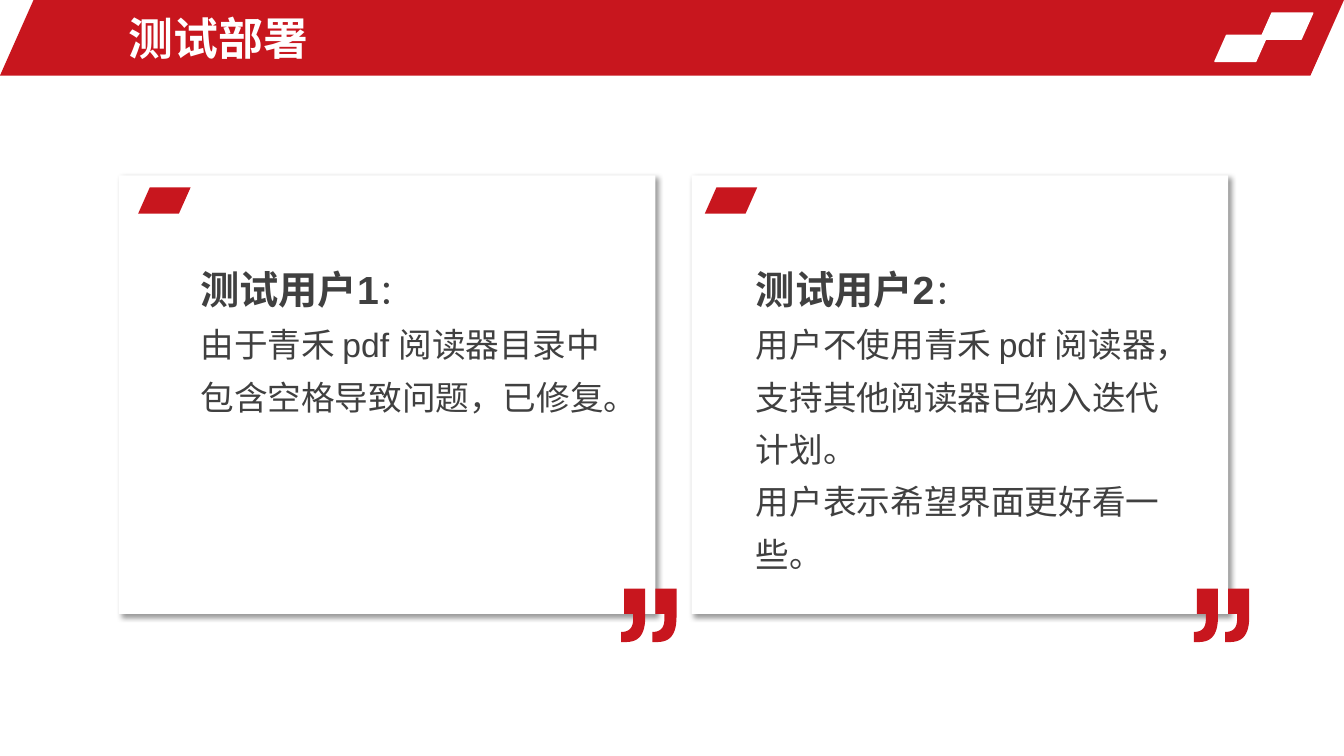
from lxml import etree
from pptx import Presentation
from pptx import util as u
from pptx.dml.color import RGBColor
from pptx.enum import shapes, text
from pptx.oxml import ns

COLORS = {"red": "C8161E", "white": "FFFFFF", "ink": "404040", "shadow": "000000"}
SLANT = 0.444
COMMA_STEP = 0.31


def curve(p0, p1, p2, p3, steps=12):
    """Points along a cubic curve, without its start."""
    points = []
    for i in range(1, steps + 1):
        t = i / steps
        weights = ((1 - t) ** 3, 3 * t * (1 - t) ** 2, 3 * t ** 2 * (1 - t), t ** 3)
        points.append(tuple(sum(w * p[axis] for w, p in zip(weights, (p0, p1, p2, p3)))
                            for axis in (0, 1)))
    return points


# Outline of one comma of the closing quotation mark, in inches
COMMA = [
    (0.24, 0), (0.24, 0.28),
    *curve((0.24, 0.28), (0.24, 0.45), (0.18, 0.53), (0.05, 0.53)),
    (0, 0.53), (0, 0.43),
    *curve((0, 0.43), (0.09, 0.43), (0.12, 0.38), (0.12, 0.3)),
    (0.12, 0.25), (0.03, 0.25), (0.03, 0),
]


class Deck:
    font = "Arial"

    def __init__(self, slide):
        self.slide = slide

    def color(self, name):
        return RGBColor.from_string(COLORS[name])

    def paint(self, shape, fill, line=None):
        shape.shadow.inherit = False
        shape.fill.solid()
        shape.fill.fore_color.rgb = self.color(fill)
        if line:
            shape.line.color.rgb = self.color(line)
            shape.line.width = u.Pt(1)
        else:
            shape.line.fill.background()

    def slanted(self, left, top, width=0.52, height=0.26, fill="red", line=None):
        shape = self.slide.shapes.add_shape(
            shapes.MSO_SHAPE.PARALLELOGRAM, *map(u.Inches, (left, top, width, height)))
        shape.adjustments[0] = SLANT
        self.paint(shape, fill, line)

    def panel(self, left, top, width, height):
        shape = self.slide.shapes.add_shape(
            shapes.MSO_SHAPE.ROUNDED_RECTANGLE, *map(u.Inches, (left, top, width, height)))
        shape.adjustments[0] = 0
        self.paint(shape, "white")
        # Soft shadow to the lower right
        effects = shape._element.spPr.find(ns.qn("a:effectLst"))
        shadow = etree.SubElement(effects, ns.qn("a:outerShdw"), blurRad=str(u.Pt(4)),
                                  dist=str(u.Pt(3)), dir=str(45 * 60000),
                                  algn="tl", rotWithShape="0")
        tint = etree.SubElement(shadow, ns.qn("a:srgbClr"), val=COLORS["shadow"])
        etree.SubElement(tint, ns.qn("a:alpha"), val="40000")

    def quote(self, left, top):
        commas = [[(u.Inches(left + x + shift), u.Inches(top + y)) for x, y in COMMA]
                  for shift in (COMMA_STEP, 0)]
        builder = self.slide.shapes.build_freeform(*commas[0][0], scale=1.0)
        builder.add_line_segments(commas[0][1:], close=True)
        builder.move_to(*commas[1][0])
        builder.add_line_segments(commas[1][1:], close=True)
        self.paint(builder.convert_to_shape(), "red")

    def add_words(self, paragraph, words, size=24, color="ink", bold=False):
        run = paragraph.add_run()
        run.text = words
        run.font.name = self.font
        run.font.size = u.Pt(size)
        run.font.bold = bold
        run.font.color.rgb = self.color(color)

    def text_box(self, left, top, width, height, anchor=text.MSO_ANCHOR.TOP, grow=False):
        frame = self.slide.shapes.add_textbox(
            *map(u.Inches, (left, top, width, height))).text_frame
        frame.word_wrap = True
        frame.vertical_anchor = anchor
        if grow:
            frame.auto_size = text.MSO_AUTO_SIZE.SHAPE_TO_FIT_TEXT
        return frame

    def feedback(self, left, top, height, heading, notes):
        frame = self.text_box(left, top, 4.26, height, grow=True)
        title = frame.paragraphs[0]
        self.add_words(title, heading, size=28, bold=True)
        self.add_words(title, "：")
        for note in notes:
            self.add_words(frame.add_paragraph(), note)
        for paragraph in frame.paragraphs:
            paragraph.line_spacing = 1.3


def main():
    prs = Presentation()
    prs.slide_width, prs.slide_height = u.Inches(13.33), u.Inches(7.5)
    deck = Deck(prs.slides.add_slide(prs.slide_layouts[6]))

    # Header band with its title
    deck.slanted(0, 0, 13.33, 0.75)
    for left, top in ((12.5, 0.13), (12.05, 0.35)):
        deck.slanted(left, top, fill="white", line="white")
    header = deck.text_box(1.18, 0.05, 7.74, 0.65, anchor=text.MSO_ANCHOR.MIDDLE)
    deck.add_words(header.paragraphs[0], "测试部署", size=32, color="white", bold=True)

    # One card per test user: card, tag and text left edges, text height, words
    card_top = 1.74
    users = [
        (1.18, 1.37, 1.89, 1.71, "测试用户1",
         ["由于青禾 pdf 阅读器目录中包含空格导致问题，已修复。"]),
        (6.86, 6.99, 7.4, 3.28, "测试用户2",
         ["用户不使用青禾 pdf 阅读器，支持其他阅读器已纳入迭代计划。",
          "用户表示希望界面更好看一些。"]),
    ]
    for card_left, tag_left, text_left, text_height, heading, notes in users:
        deck.panel(card_left, card_top, 5.32, 4.35)
        deck.slanted(tag_left, card_top + 0.12)
        deck.feedback(text_left, card_top + 0.7, text_height, heading, notes)
        deck.quote(card_left + 4.98, card_top + 4.1)

    prs.save("out.pptx")


if __name__ == "__main__":
    main()
